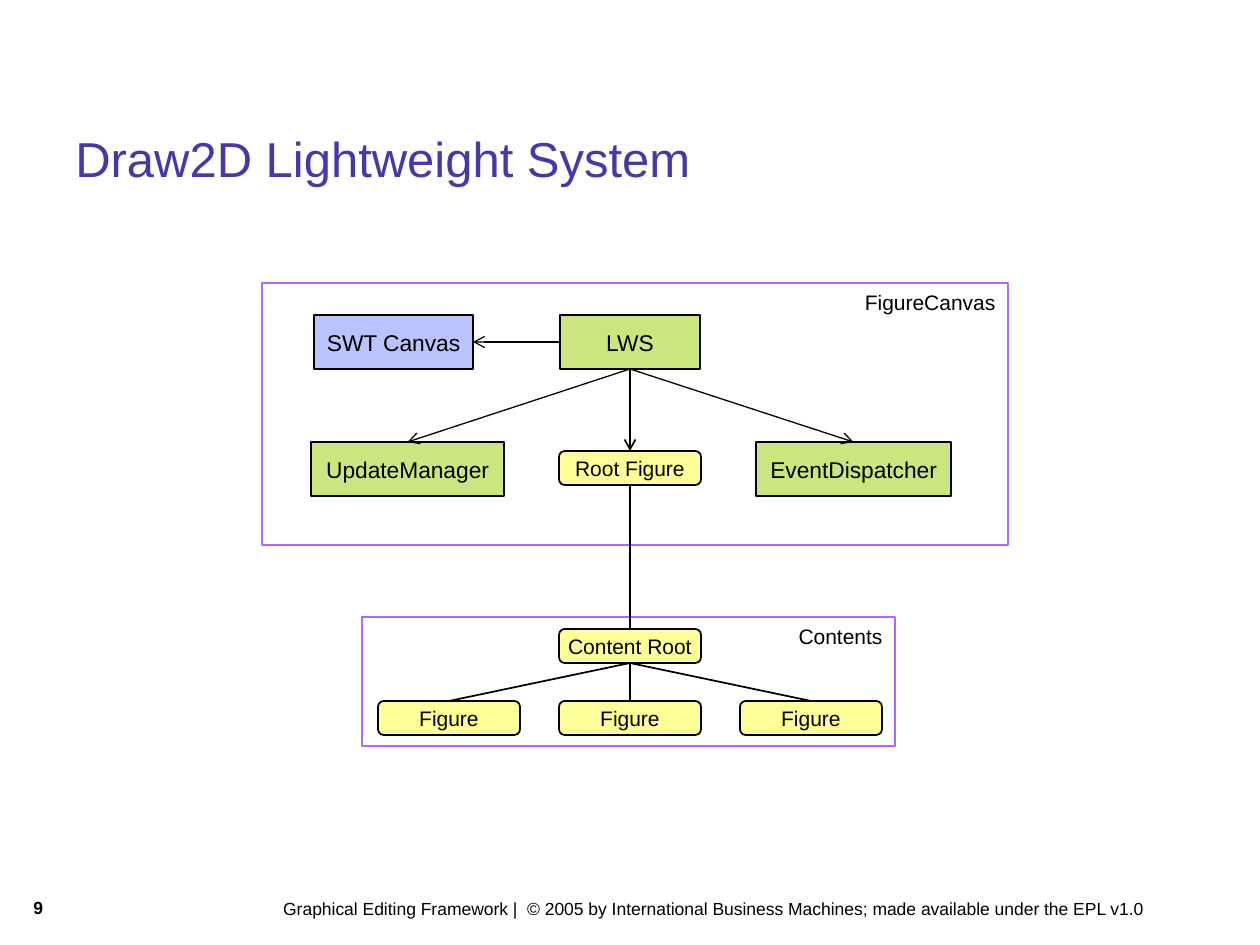
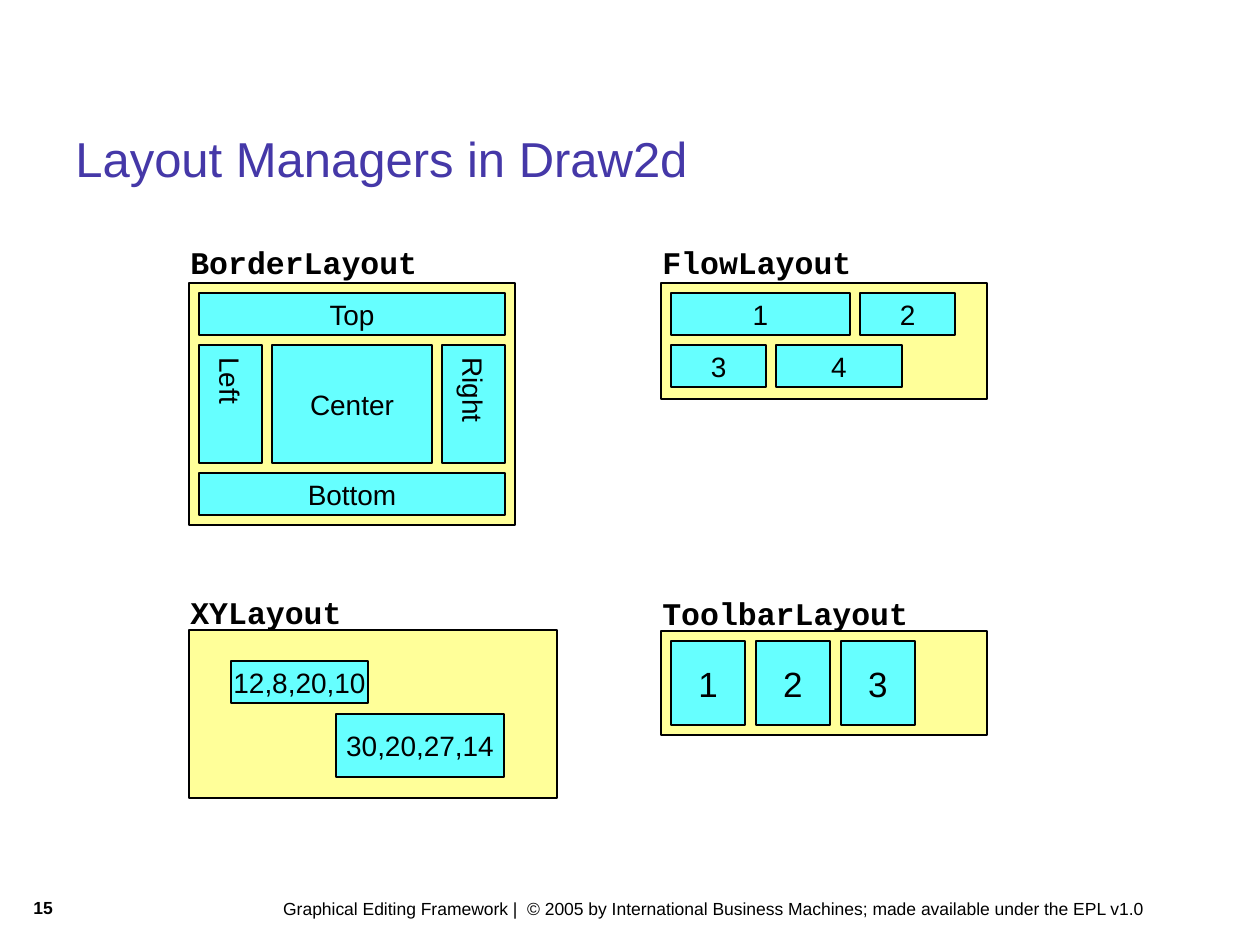
import pptx
import pptx.dml.color
import pptx.enum.shapes
import pptx.enum.text
import pptx.oxml
import pptx.oxml.ns
import pptx.util

SHAPE = pptx.enum.shapes.MSO_SHAPE
ALIGN = pptx.enum.text.PP_ALIGN
ANCHOR = pptx.enum.text.MSO_ANCHOR
TOP, LEFT, BOTTOM = 0, 1, 2
PX_PER_INCH = 126
BLACK, INDIGO, VIOLET = "000000", "4538A8", "AF67FF"
BLUE, GREEN, YELLOW, CYAN = "7889FB", "99CC00", "FFFF99", "66FFFF"
SANS, MONO = "Arial", "Courier New"
PAD = 10
FOOTER = (" Graphical Editing Framework |  © 2005 by International Business Machines; "
          "made available under the EPL v1.0")


def emu(*lengths):
    """Turn px lengths into EMU."""
    return [pptx.util.Emu(round(px * 914400 / PX_PER_INCH)) for px in lengths]


def rgb(color):
    """Turn a hex string into a colour."""
    return pptx.dml.color.RGBColor.from_string(color)


def add_child(parent, tag, **attributes):
    """Append a DrawingML element to a parent."""
    child = pptx.oxml.parse_xml(f"<a:{tag} {pptx.oxml.ns.nsdecls('a')}/>")
    for key, value in attributes.items():
        child.set(key, value)
    parent.append(child)


def write(shape, text, size, color=BLACK, font=SANS, bold=False,
          align=ALIGN.LEFT, anchor=ANCHOR.TOP, wrap=True):
    """Fill a shape with one styled paragraph."""
    frame = shape.text_frame
    frame.word_wrap = wrap
    frame.vertical_anchor = anchor
    paragraph = frame.paragraphs[0]
    paragraph.text = text
    paragraph.alignment = align
    paragraph.font.name = font
    paragraph.font.size = pptx.util.Pt(size)
    paragraph.font.bold = bold
    paragraph.font.color.rgb = rgb(color)


def add_label(slide, box, text, size, **style):
    """Place a text box."""
    write(slide.shapes.add_textbox(*emu(*box)), text, size, **style)


def add_block(slide, box, fill=None, line=BLACK, width=1, kind=SHAPE.RECTANGLE):
    """Place an outlined shape, filled if a colour is given."""
    block = slide.shapes.add_shape(kind, *emu(*box))
    block.shadow.inherit = False
    block.line.color.rgb = rgb(line)
    block.line.width = pptx.util.Pt(width)
    if fill:
        block.fill.solid()
        block.fill.fore_color.rgb = rgb(fill)
    else:
        block.fill.background()
    return block


def add_tile(slide, box, text, size=16, fill=CYAN, kind=SHAPE.RECTANGLE):
    """Place a filled shape with centred text."""
    tile = add_block(slide, box, fill, kind=kind)
    write(tile, text, size, align=ALIGN.CENTER, anchor=ANCHOR.MIDDLE, wrap=False)
    return tile


def add_component(slide, box, text, fill):
    """Place a half-transparent component box."""
    component = add_tile(slide, box, text, 13, fill)
    fill_color = component.element.spPr.find(".//" + pptx.oxml.ns.qn("a:srgbClr"))
    add_child(fill_color, "alpha", val="50000")
    return component


def add_figure(slide, x, y, text):
    """Place a rounded figure node."""
    return add_tile(slide, (x, y, 142, 34), text, 12, YELLOW, SHAPE.ROUNDED_RECTANGLE)


def add_frame(slide, box, text):
    """Place a violet frame labelled at its top right."""
    frame = add_block(slide, box, line=VIOLET, width=1.5)
    write(frame, text, 12, align=ALIGN.RIGHT)


def link(slide, start, start_side, end, end_side, width=1, arrow=False):
    """Join two shapes with a straight line."""
    connector = slide.shapes.add_connector(
        pptx.enum.shapes.MSO_CONNECTOR.STRAIGHT, 0, 0, 0, 0)
    connector.begin_connect(start, start_side)
    connector.end_connect(end, end_side)
    connector.line.color.rgb = rgb(BLACK)
    connector.line.width = pptx.util.Pt(width)
    if arrow:
        add_child(connector.line._get_or_add_ln(), "tailEnd", type="arrow")
    add_child(connector.element.spPr, "effectLst")


def add_slide(deck, title, number):
    """Start a slide with its title, page number and footer."""
    slide = deck.slides.add_slide(deck.slide_layouts[6])
    add_label(slide, (266, 892, 910, 34), FOOTER, 10)
    add_label(slide, (21, 891, 139, 44), str(number), 10, bold=True)
    add_label(slide, (63, 118, 1134, 79), title, 28, color=INDIGO, anchor=ANCHOR.MIDDLE)
    return slide


def draw_canvas(slide, x, y, width, height):
    """Draw the figure canvas and return its root figure."""
    add_frame(slide, (x, y, width, height), "FigureCanvas")
    swt = add_component(slide, (x + 52, y + 32, 159, 54), "SWT Canvas", BLUE)
    lws = add_component(slide, (x + 298, y + 32, 140, 54), "LWS", GREEN)
    updates = add_component(slide, (x + 49, y + 159, 193, 54), "UpdateManager", GREEN)
    events = add_component(slide, (x + 494, y + 159, 195, 54), "EventDispatcher", GREEN)
    root = add_figure(slide, x + 297, y + 168, "Root Figure")
    link(slide, lws, LEFT, swt, 3, 0.75, arrow=True)
    for target, weight in ((updates, 0.75), (root, 1), (events, 0.75)):
        link(slide, lws, BOTTOM, target, TOP, weight, arrow=True)
    return root


def draw_contents(slide, x, y, width, height):
    """Draw the contents tree and return its root."""
    add_frame(slide, (x, y, width, height), "Contents")
    root = add_figure(slide, x + 197, y + 12, "Content Root")
    for column in range(3):
        figure = add_figure(slide, x + 16 + 181 * column, y + 84, "Figure")
        link(slide, root, BOTTOM, figure, TOP)
    return root


def add_panel(slide, heading, box, lift):
    """Place a yellow panel under its heading."""
    x, y = box[:2]
    add_block(slide, box, YELLOW)
    add_label(slide, (x - 11, y - lift, 290, 50), heading, 18, font=MONO, bold=True)


def draw_border_layout(slide, x, y, width, height):
    """Draw four edge tiles around a centre tile."""
    add_panel(slide, "BorderLayout", (x, y, width, height), 46)
    edge, side = 42, 63
    inner = width - 2 * PAD
    middle_y = y + edge + 2 * PAD
    middle_height = height - 2 * edge - 4 * PAD
    add_tile(slide, (x + PAD, y + PAD, inner, edge), "Top")
    add_tile(slide, (x + PAD, y + height - PAD - edge, inner, edge), "Bottom")
    add_tile(slide, (x + side + 2 * PAD, middle_y, inner - 2 * (side + PAD), middle_height),
             "Center")
    for text, side_x in (("Left", x + PAD), ("Right", x + width - PAD - side)):
        tile = add_tile(slide, (side_x, middle_y, side, middle_height), text)
        tile.element.txBody.bodyPr.set("vert", "eaVert")


def draw_flow_layout(slide, x, y, width, height):
    """Draw tiles that wrap into rows."""
    add_panel(slide, "FlowLayout", (x, y, width, height), 46)
    row_height = 42
    tile_x, tile_y = x + PAD, y + PAD
    for number, tile_width in enumerate((179, 95, 95, 126), 1):
        if tile_x + tile_width > x + width - PAD:
            tile_x, tile_y = x + PAD, tile_y + row_height + PAD
        add_tile(slide, (tile_x, tile_y, tile_width, row_height), str(number))
        tile_x += tile_width + PAD


def draw_xy_layout(slide, x, y, width, height):
    """Draw freely placed tiles."""
    add_panel(slide, "XYLayout", (x, y, width, height), 43)
    add_tile(slide, (x + 42, y + 31, 137, 42), "12,8,20,10")
    add_tile(slide, (x + 147, y + 84, 168, 63), "30,20,27,14")


def draw_toolbar_layout(slide, x, y, width, height):
    """Draw a row of equal tiles."""
    add_panel(slide, "ToolbarLayout", (x, y, width, height), 43)
    for column in range(3):
        box = (x + PAD + 85 * column, y + PAD, 74, height - 2 * PAD)
        add_tile(slide, box, str(column + 1), 20)


def main():
    """Build and save the deck."""
    deck = pptx.Presentation()
    deck.slide_width, deck.slide_height = emu(1260, 945)

    system = add_slide(deck, "Draw2D Lightweight System", 9)
    content_root = draw_contents(system, 362, 617, 533, 129)
    root_figure = draw_canvas(system, 262, 283, 746, 262)
    link(system, content_root, TOP, root_figure, BOTTOM)

    layouts = add_slide(deck, "Layout Managers in Draw2d", 15)
    draw_border_layout(layouts, 189, 283, 326, 242)
    draw_flow_layout(layouts, 661, 283, 326, 116)
    draw_xy_layout(layouts, 189, 630, 368, 168)
    draw_toolbar_layout(layouts, 661, 631, 326, 104)

    deck.save("out.pptx")


if __name__ == "__main__":
    main()
